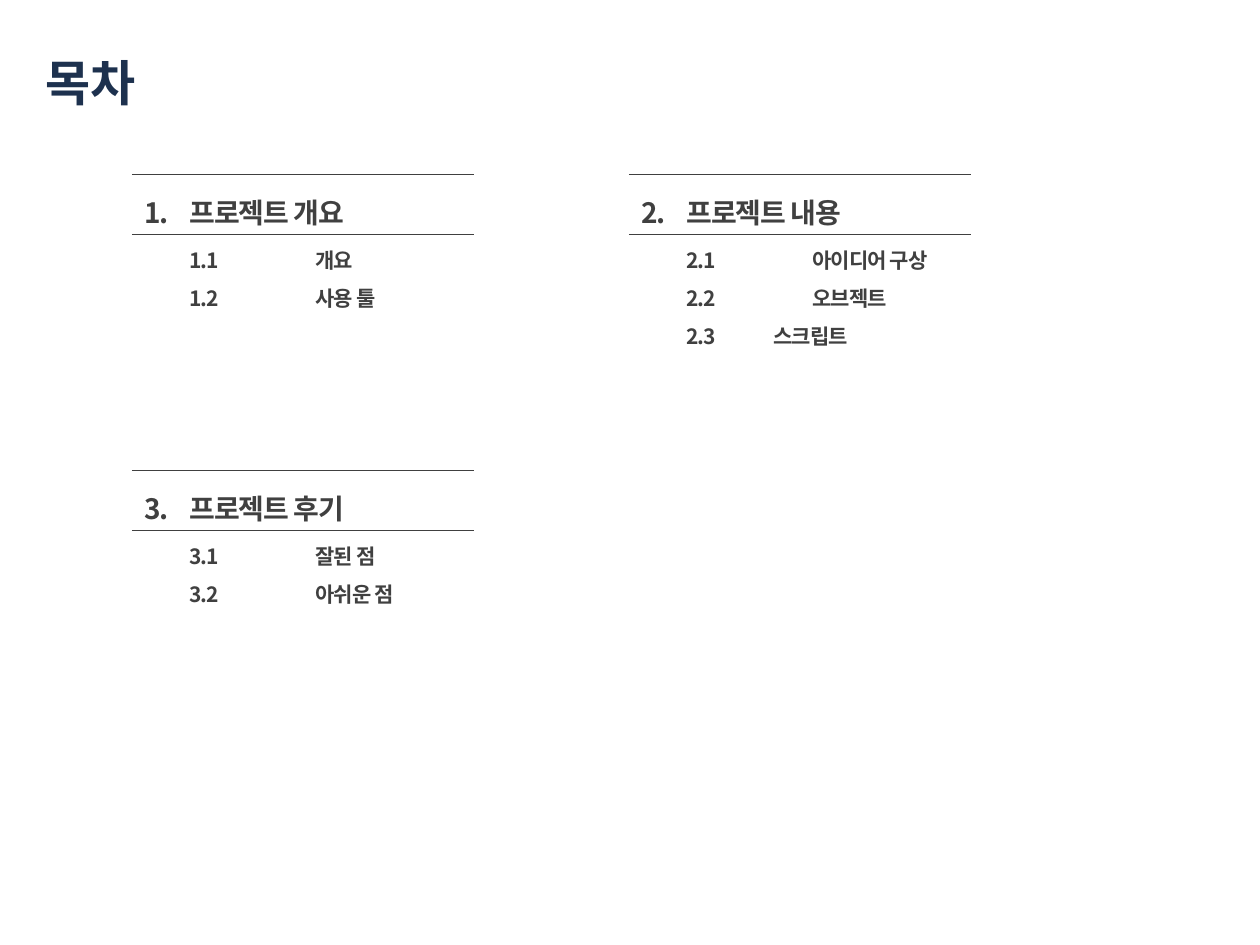
from pptx import Presentation
from pptx.dml.color import RGBColor
from pptx.enum.shapes import MSO_CONNECTOR
from pptx.enum.text import MSO_ANCHOR
from pptx.oxml.ns import qn
from pptx.util import Pt
from lxml import etree

STRAIGHT = MSO_CONNECTOR.STRAIGHT
TOP, MIDDLE = MSO_ANCHOR.TOP, MSO_ANCHOR.MIDDLE
NAVY = RGBColor(0x1D, 0x31, 0x4E)
GRAY = RGBColor(0x40, 0x40, 0x40)
FONT = "Noto Sans CJK KR"
EMU_PER_PX = 914400 / 126
INDENT = 45
WIDE_TAB, NARROW_TAB = 126, 87
SECTIONS = [
    ((132, 164, 374, 262), "1.\t프로젝트 개요",
     [("1.1\t개요", WIDE_TAB), ("1.2\t사용 툴", WIDE_TAB)]),
    ((629, 164, 374, 262), "2.\t프로젝트 내용",
     [("2.1\t아이디어 구상", WIDE_TAB), ("2.2\t오브젝트", WIDE_TAB),
      ("2.3\t스크립트", NARROW_TAB)]),
    ((132, 460, 374, 262), "3.\t프로젝트 후기",
     [("3.1\t잘된 점", WIDE_TAB), ("3.2\t아쉬운 점", WIDE_TAB)]),
]


def px(length):
    """Turn a length in px into EMU."""
    return round(length * EMU_PER_PX)


def add_frame(slide, box, anchor=TOP):
    """Add an empty wrapping text box and return its text frame."""
    frame = slide.shapes.add_textbox(*map(px, box)).text_frame
    frame.word_wrap = True
    frame.vertical_anchor = anchor
    return frame


def write_text(paragraph, text, size, color, line_spacing=1.0, spacing=0, indent=0, tab=WIDE_TAB):
    """Write bold text into a paragraph with a hanging indent and regular tab stops."""
    paragraph.line_spacing = line_spacing
    properties = paragraph._p.get_or_add_pPr()
    properties.set("marL", str(px(indent)))
    properties.set("indent", str(px(-indent)))
    properties.set("defTabSz", str(px(tab)))
    run = paragraph.add_run()
    run.text = text
    font = run.font
    font.name, font.size, font.bold = FONT, Pt(size), True
    font.color.rgb = color
    run_properties = run._r.get_or_add_rPr()
    run_properties.set("spc", str(spacing))
    etree.SubElement(run_properties, qn("a:ea")).set("typeface", FONT)


def add_rule(slide, left, top, width):
    """Add a thin horizontal line."""
    rule = slide.shapes.add_connector(STRAIGHT, px(left), px(top), px(left + width), px(top))
    rule.line.color.rgb = GRAY
    rule.line.width = Pt(0.25)
    etree.SubElement(rule._element.spPr, qn("a:effectLst"))


def add_title(slide, box, text):
    """Add the slide title."""
    write_text(add_frame(slide, box, MIDDLE).paragraphs[0], text, 28, NAVY)


def add_section(slide, box, heading, entries):
    """Add a contents section with its heading between two rules."""
    left, top, _, _ = box
    frame = add_frame(slide, box)
    write_text(frame.paragraphs[0], heading, 16, GRAY,
               line_spacing=1.75, spacing=-50, indent=INDENT)
    for index, (entry, tab) in enumerate(entries):
        write_text(frame.add_paragraph(), "\t" + entry, 12, GRAY,
                   line_spacing=1.5 if index else 1.75, spacing=-50, indent=INDENT, tab=tab)
    for offset in (10, 70):
        add_rule(slide, left, top + offset, 342)


def main():
    """Build and save the contents slide."""
    presentation = Presentation()
    presentation.slide_width, presentation.slide_height = px(1260), px(945)
    slide = presentation.slides.add_slide(presentation.slide_layouts[6])
    add_title(slide, (33, 19, 1178, 125), "목차")
    for box, heading, entries in SECTIONS:
        add_section(slide, box, heading, entries)
    presentation.save("out.pptx")


if __name__ == "__main__":
    main()
